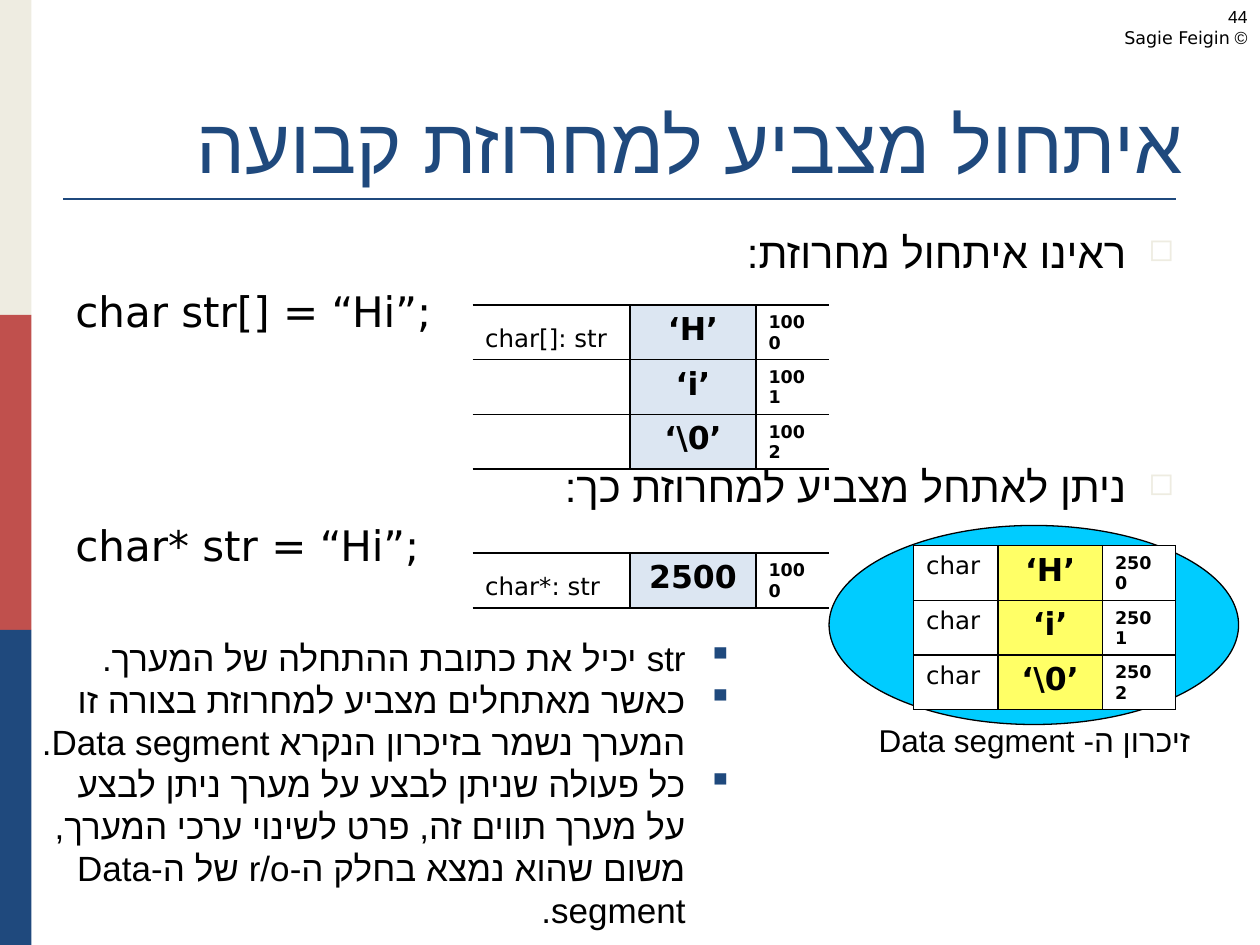
from lxml.etree import SubElement
from pptx import Presentation
from pptx.dml.color import RGBColor
from pptx.enum.shapes import MSO_CONNECTOR, MSO_SHAPE
from pptx.enum.text import MSO_ANCHOR, PP_ALIGN
from pptx.oxml.ns import qn
from pptx.util import Inches, Pt

C = {"cream": "EEECE1", "red": "C0504D", "navy": "1F497D", "black": "000000",
     "white": "FFFFFF", "pale": "DCE6F2", "yellow": "FFFF66", "cyan": "00CCFF"}
SANS, ARIAL, SERIF = "DejaVu Sans", "Arial", "Times New Roman"
L, CTR, R = PP_ALIGN.LEFT, PP_ALIGN.CENTER, PP_ALIGN.RIGHT
TOP, BOTTOM = MSO_ANCHOR.TOP, MSO_ANCHOR.BOTTOM

# Content
TITLE = "איתחול מצביע למחרוזת קבועה"
BODY = [  # text, right to left, space before in points
    ("ראינו איתחול מחרוזת:", True, 0),
    ("char str[] = “Hi”;", False, 5),
    ("ניתן לאתחל מצביע למחרוזת כך:", True, 71),
    ("char* str = “Hi”;", False, 5),
]
NOTES = [
    "str יכיל את כתובת ההתחלה של המערך.",
    "כאשר מאתחלים מצביע למחרוזת בצורה זו המערך נשמר בזיכרון הנקרא Data segment.",
    "כל פעולה שניתן לבצע על מערך ניתן לבצע על מערך תווים זה, פרט לשינוי ערכי המערך, "
    "משום שהוא נמצא בחלק ה-r/o של ה-Data segment.",
]
CAPTION = "זיכרון ה- Data segment"
CORNER = ["44", "© Sagie Feigin"]
ARRAY = [("char[]: str", "‘H’", "1000"), ("", "‘i’", "1001"), ("", "‘\\0’", "1002")]
POINTER = [("char*: str", "2500", "1000")]
SEGMENT = [("char", "‘H’", "2500"), ("char", "‘i’", "2501"), ("char", "‘\\0’", "2502")]

# Layout in inches
W, H = 10, 7.5
ROW_H, HANG = 0.4, 0.38
STACK_COLS, SEGMENT_COLS = (1.25, 1, 0.58), (0.67, 0.83, 0.58)

prs = Presentation()
prs.slide_width, prs.slide_height = Inches(W), Inches(H)
s = prs.slides.add_slide(prs.slide_layouts[6])


def rgb(name):
    return RGBColor.from_string(C[name])


def add_run(p, text, size, font, color="black", bold=False):
    r = p.add_run()
    r.text = text
    f = r.font
    f.size, f.name, f.bold = Pt(size), font, bold
    f.color.rgb = rgb(color)
    SubElement(r._r.get_or_add_rPr(), qn("a:cs"), typeface=ARIAL)


def set_bullet(p, char, color, percent):
    pPr = p._p.get_or_add_pPr()
    clr = SubElement(pPr, qn("a:buClr"))
    SubElement(clr, qn("a:srgbClr"), val=C[color])
    SubElement(pPr, qn("a:buSzPct"), val=str(percent * 1000))
    SubElement(pPr, qn("a:buChar"), char=char)


def add_box(box, paras, size, font, color="black", align=R, bullet=None,
            hang=0, anchor=TOP):
    """paras: (text, right to left, space before) tuples."""
    tf = s.shapes.add_textbox(*map(Inches, box)).text_frame
    tf.word_wrap, tf.vertical_anchor = True, anchor
    for i, (text, rtl, before) in enumerate(paras):
        p = tf.paragraphs[0] if i == 0 else tf.add_paragraph()
        p.alignment = align if rtl else L
        if before:
            p.space_before = Pt(before)
        pPr = p._p.get_or_add_pPr()
        pPr.set("rtl", str(int(rtl)))
        if hang:
            pPr.set("marL", str(Inches(hang)))
            pPr.set("indent", str(-Inches(hang)))
        if bullet and rtl:
            set_bullet(p, *bullet)
        add_run(p, text, size, font, color)


def add_preset(kind, box, fill, line=None):
    sp = s.shapes.add_shape(kind, *map(Inches, box))
    sp.shadow.inherit = False
    sp.fill.solid()
    sp.fill.fore_color.rgb = rgb(fill)
    if line:
        sp.line.color.rgb, sp.line.width = rgb(line), Pt(0.75)
    else:
        sp.line.fill.background()


def set_borders(cell, sides):
    """Black lines on the given sides, none on the others."""
    tcPr = cell._tc.get_or_add_tcPr()
    for i, side in enumerate("LRTB"):
        ln = SubElement(tcPr, qn(f"a:ln{side}"), w=str(Pt(1)))
        if side in sides:
            fill = SubElement(ln, qn("a:solidFill"))
            SubElement(fill, qn("a:srgbClr"), val=C["black"])
        else:
            SubElement(ln, qn("a:noFill"))


def add_memory(left, top, widths, rows, fills, sides, label_anchor):
    styles = [(14, False, L, label_anchor), (18, True, CTR, TOP), (10, True, L, BOTTOM)]
    tbl = s.shapes.add_table(len(rows), len(widths), Inches(left), Inches(top),
                             Inches(sum(widths)), Inches(ROW_H * len(rows))).table
    tbl.first_row = tbl.horz_banding = False
    for col, width in zip(tbl.columns, widths):
        col.width = Inches(width)
    for i, row in enumerate(rows):
        tbl.rows[i].height = Inches(ROW_H)
        for j, (size, bold, align, anchor) in enumerate(styles):
            cell = tbl.cell(i, j)
            set_borders(cell, sides[j])
            cell.fill.solid()
            cell.fill.fore_color.rgb = rgb(fills[j])
            cell.vertical_anchor = anchor
            p = cell.text_frame.paragraphs[0]
            p.alignment = align
            if row[j]:
                add_run(p, row[j], size, SANS, bold=bold)


# Side stripes and title rule
for i, color in enumerate(("cream", "red", "navy")):
    add_preset(MSO_SHAPE.RECTANGLE, (0, i * H / 3, W / 40, H / 3), color)
rule = s.shapes.add_connector(MSO_CONNECTOR.STRAIGHT, Inches(0.5), Inches(1.58),
                              Inches(9.33), Inches(1.58))
rule.line.color.rgb, rule.line.width = rgb("navy"), Pt(1.5)
SubElement(rule._element.spPr, qn("a:effectLst"))

# Title and statements
add_box((0.5, 0.3, 9, 1.25), [(TITLE, True, 0)], 44, SERIF, "navy", anchor=BOTTOM)
add_box((0.5, 1.75, 8.92, 5.33), BODY, 24, SANS, bullet=("◻", "cream", 75), hang=HANG)

# Stack memory
for top, rows in ((2.42, ARRAY), (4.39, POINTER)):
    add_memory(3.75, top, STACK_COLS, rows, ("white", "pale", "white"),
               ("RTB", "LRTB", "LTB"), BOTTOM)

# Data segment
add_preset(MSO_SHAPE.OVAL, (6.58, 4.17, 3.25, 1.58), "cyan", "black")
add_box((6.75, 5.67, 2.92, 0.4), [(CAPTION, True, 0)], 18, ARIAL, align=CTR)
add_memory(7.25, 4.33, SEGMENT_COLS, SEGMENT, ("white", "yellow", "white"),
           ("LRTB",) * 3, TOP)

# Notes and corner label
add_box((0.17, 5, 5.75, 2.46), [(t, True, 0) for t in NOTES], 20, ARIAL,
        bullet=("▪", "navy", 100), hang=HANG)
add_box((7.67, 0, 2.33, 0.5), [(t, True, 0) for t in CORNER], 10, SANS)

prs.save("out.pptx")
